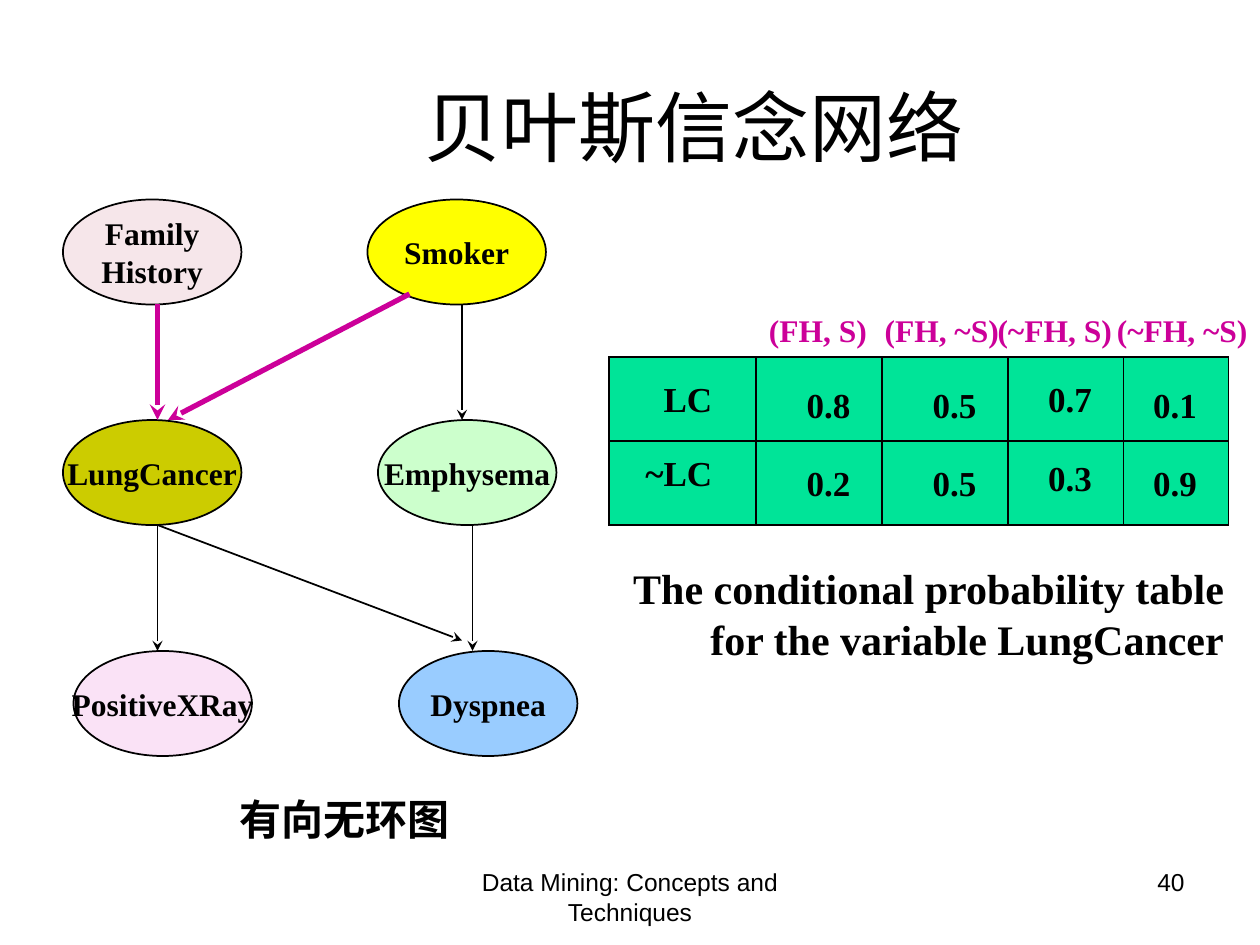
from lxml.etree import SubElement
from pptx import Presentation
from pptx.dml.color import RGBColor
from pptx.enum.shapes import MSO_CONNECTOR, MSO_SHAPE
from pptx.enum.text import MSO_ANCHOR, PP_ALIGN
from pptx.oxml.ns import qn
from pptx.util import Pt

SERIF = "Times New Roman"
BLACK = "000000"
MAGENTA = "CC0099"
GREEN = "00E498"


def color(value):
    return RGBColor.from_string(value)


def write(frame, lines, size, align, font=SERIF, bold=True, ink=BLACK):
    for index, line in enumerate(lines):
        paragraph = frame.paragraphs[0] if index == 0 else frame.add_paragraph()
        paragraph.alignment = align
        run = paragraph.add_run()
        run.text = line
        run.font.name = font
        run.font.size = Pt(size)
        run.font.bold = bold
        run.font.color.rgb = color(ink)


def add_text(slide, box, text, size, align=PP_ALIGN.RIGHT, wrap=True,
             anchor=MSO_ANCHOR.TOP, **style):
    shape = slide.shapes.add_textbox(*map(Pt, box))
    frame = shape.text_frame
    frame.word_wrap = wrap
    frame.vertical_anchor = anchor
    write(frame, [text], size, align, **style)


def add_node(slide, left, top, fill, lines):
    shape = slide.shapes.add_shape(MSO_SHAPE.OVAL, Pt(left), Pt(top), Pt(102), Pt(60))
    shape.shadow.inherit = False
    shape.fill.solid()
    shape.fill.fore_color.rgb = color(fill)
    shape.line.color.rgb = color(BLACK)
    shape.line.width = Pt(1)
    frame = shape.text_frame
    frame.word_wrap = False
    frame.vertical_anchor = MSO_ANCHOR.MIDDLE
    write(frame, lines, 18, PP_ALIGN.CENTER)


def add_arrow(slide, start, end, ink=BLACK, width=1):
    connector = slide.shapes.add_connector(
        MSO_CONNECTOR.STRAIGHT, *map(Pt, start + end))
    connector.line.color.rgb = color(ink)
    connector.line.width = Pt(width)
    SubElement(connector.line._get_or_add_ln(), qn("a:tailEnd"), type="stealth")
    SubElement(connector._element.spPr, qn("a:effectLst"))


def add_borders(cell):
    properties = cell._tc.get_or_add_tcPr()
    for position, side in enumerate(("lnL", "lnR", "lnT", "lnB")):
        border = SubElement(properties, qn(f"a:{side}"), w=str(Pt(1)))
        fill = SubElement(border, qn("a:solidFill"))
        SubElement(fill, qn("a:srgbClr"), val=BLACK)
        properties.insert(position, border)


def add_probability_table(slide):
    rows = [("LC", "0.8", "0.5", "0.7", "0.1"),
            ("~LC", "0.2", "0.5", "0.3", "0.9")]
    widths = [84, 72, 72, 66, 60]
    top_margins = [(14, 17, 17, 14, 17), (8, 14, 14, 11, 14)]
    table = slide.shapes.add_table(
        len(rows), len(widths), Pt(348), Pt(204), Pt(sum(widths)), Pt(96)).table
    table.first_row = False
    table.horz_banding = False
    for column, width in zip(table.columns, widths):
        column.width = Pt(width)
    for row_index, values in enumerate(rows):
        table.rows[row_index].height = Pt(48)
        for column_index, value in enumerate(values):
            cell = table.cell(row_index, column_index)
            cell.margin_left = cell.margin_bottom = Pt(0)
            cell.margin_top = Pt(top_margins[row_index][column_index])
            cell.margin_right = Pt(18 if column_index else 25)
            cell.fill.solid()
            cell.fill.fore_color.rgb = color(GREEN)
            add_borders(cell)
            write(cell.text_frame, [value], 20, PP_ALIGN.RIGHT)


def main():
    presentation = Presentation()
    presentation.slide_width = Pt(720)
    presentation.slide_height = Pt(540)
    slide = presentation.slides.add_slide(presentation.slide_layouts[6])

    add_text(slide, (90, 54, 613.5, 48), "贝叶斯信念网络", 44, PP_ALIGN.CENTER,
             anchor=MSO_ANCHOR.BOTTOM, font="Roboto", bold=False)

    for left, top, fill, lines in [
        (36, 114, "F6E6EA", ["Family", "History"]),
        (36, 240, "CCCC00", ["LungCancer"]),
        (42, 372, "FAE2F6", ["PositiveXRay"]),
        (210, 114, "FFFF00", ["Smoker"]),
        (216, 240, "CCFFCC", ["Emphysema"]),
        (228, 372, "99CCFF", ["Dyspnea"]),
    ]:
        add_node(slide, left, top, fill, lines)

    for start, end in [((90, 174), (90, 240)), ((234, 168), (96, 240))]:
        add_arrow(slide, start, end, MAGENTA, 3)
    for start, end in [
        ((90, 300), (90, 372)),
        ((264, 174), (264, 240)),
        ((270, 300), (270, 372)),
        ((90, 300), (264, 366)),
    ]:
        add_arrow(slide, start, end)

    add_probability_table(slide)
    for left, width, heading in [
        (432, 70.5, "(FH, S)"),
        (498, 80, "(FH, ~S)"),
        (562.5, 80, "(~FH, S)"),
        (630.5, 89.5, "(~FH, ~S)"),
    ]:
        add_text(slide, (left, 174, width, 29), heading, 18, wrap=False, ink=MAGENTA)

    add_text(slide, (108, 450, 156, 36), "有向无环图", 24)
    add_text(slide, (348, 318, 358.5, 65),
             "The conditional probability table for the variable LungCancer", 24)
    add_text(slide, (246, 492, 228, 37.5), "Data Mining: Concepts and Techniques", 14,
             PP_ALIGN.CENTER, font="Arial", bold=False)
    add_text(slide, (516, 492, 168, 37.5), "40", 14, font="Arial", bold=False)

    presentation.save("out.pptx")


if __name__ == "__main__":
    main()
